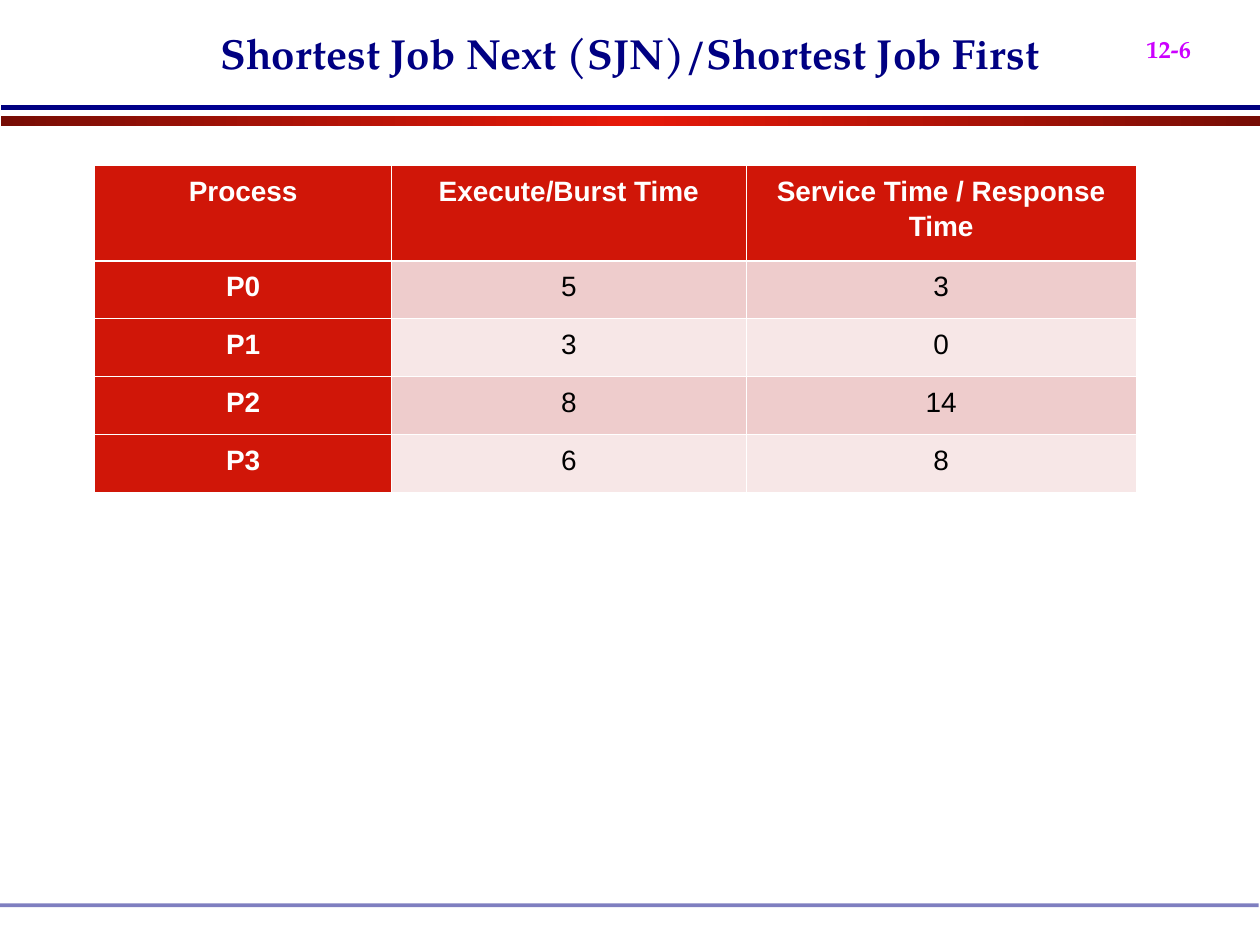
import copy
from dataclasses import dataclass

import pptx
import pptx.dml.color
import pptx.enum.shapes
import pptx.enum.text
import pptx.oxml
import pptx.oxml.ns
import pptx.util

Inches = pptx.util.Inches
Pt = pptx.util.Pt
qn = pptx.oxml.ns.qn
ALIGN = pptx.enum.text.PP_ALIGN
ANCHOR = pptx.enum.text.MSO_ANCHOR

HUES = {
    "navy": "000082",
    "dusk": "00007F",
    "blue": "0000B6",
    "rust": "770D05",
    "flame": "E71909",
    "pink": "CC00FF",
    "red": "D01608",
    "rose": "EECCCC",
    "blush": "F7E7E7",
    "white": "FFFFFF",
    "black": "000000",
}
SERIF = "TeX Gyre Pagella"
WIDTHS = (2.36, 2.81, 3.1)
HEIGHTS = (0.76, 0.46, 0.46, 0.46, 0.46)
ROWS = (
    ("Process", "Execute/Burst Time", "Service Time / Response Time"),
    ("P0", "5", "3"),
    ("P1", "3", "0"),
    ("P2", "8", "14"),
    ("P3", "6", "8"),
)
PAD = {
    "margin_left": Inches(0.08),
    "margin_right": Inches(0.08),
    "margin_top": Inches(0.05),
    "margin_bottom": Inches(0.05),
}
LINES = {"alignment": ALIGN.CENTER, "line_spacing": 1.15, "space_after": Pt(13.6)}


@dataclass
class Bar:
    left: float
    top: float
    high: float
    hues: tuple


@dataclass
class Label:
    text: str
    box: tuple
    hue: str
    frame: dict
    para: dict
    drop: int = 0


BARS = (
    Bar(0.01, 0.92, 0.08, ("rust", "flame", "rust")),
    Bar(0.01, 0.83, 0.04, ("dusk", "blue", "dusk")),
    Bar(0, 7.17, 0.03, ("navy",)),
)
LABELS = (
    Label("12-6", (9, 0, 1.08, 0.56), "pink", {}, {"space_before": Pt(15)}, -25000),
    Label(
        "Shortest Job Next (SJN)/Shortest Job First",
        (0.75, 0.28, 8.5, 0.75),
        "navy",
        {"vertical_anchor": ANCHOR.BOTTOM, "margin_bottom": Inches(0.41)},
        {"alignment": ALIGN.CENTER},
    ),
)


def tint(name: str) -> pptx.dml.color.RGBColor:
    return pptx.dml.color.RGBColor.from_string(HUES[name])


def apply(item, form: dict) -> None:
    for key, value in form.items():
        setattr(item, key, value)


def write(para, text: str, hue: str, form: dict):
    run = para.add_run()
    run.text = text
    apply(run.font, form)
    run.font.color.rgb = tint(hue)
    return run


def draw_bar(slide, bar: Bar) -> None:
    kind = pptx.enum.shapes.MSO_SHAPE.RECTANGLE
    box = (bar.left, bar.top, 9.99, bar.high)
    shape = slide.shapes.add_shape(kind, *map(Inches, box))
    shape.shadow.inherit = False
    shape.line.fill.background()
    if len(bar.hues) == 1:
        shape.fill.solid()
        shape.fill.fore_color.rgb = tint(bar.hues[0])
        mark = next(shape._element.spPr.iter(qn("a:srgbClr")))
        pptx.oxml.ns.nsdecls
        mark.append(pptx.oxml.parse_xml(f'<a:alpha {pptx.oxml.ns.nsdecls("a")} val="50000"/>'))
        return
    shape.fill.gradient()
    shape.fill.gradient_angle = 0
    first = next(shape._element.spPr.iter(qn("a:gs")))
    first.addnext(copy.deepcopy(first))
    for rank, (stop, hue) in enumerate(zip(shape.fill.gradient_stops, bar.hues)):
        stop.position = rank / 2
        stop.color.rgb = tint(hue)


def draw_label(slide, label: Label) -> None:
    frame = slide.shapes.add_textbox(*map(Inches, label.box)).text_frame
    apply(frame, {"word_wrap": True} | label.frame)
    para = frame.paragraphs[0]
    apply(para, label.para)
    form = {"name": SERIF, "size": Pt(24), "bold": True}
    run = write(para, label.text, label.hue, form)
    if label.drop:
        run._r.get_or_add_rPr().set("baseline", str(label.drop))


def edge(cell, side: str, width: float) -> None:
    cell._tc.get_or_add_tcPr().append(pptx.oxml.parse_xml(
        f'<a:ln{side} {pptx.oxml.ns.nsdecls("a")} w="{int(Pt(width))}">'
        f'<a:solidFill><a:srgbClr val="{HUES["white"]}"/></a:solidFill></a:ln{side}>'
    ))


def draw_cell(cell, row: int, col: int) -> None:
    head = row == 0 or col == 0
    apply(cell, PAD)
    thick = {"T": row == 1, "B": row == 0}
    for side in "LRTB":
        edge(cell, side, 1.47 if thick.get(side) else 0.45)
    cell.fill.solid()
    cell.fill.fore_color.rgb = tint("red" if head else "rose" if row % 2 else "blush")
    para = cell.text_frame.paragraphs[0]
    apply(para, LINES)
    form = {"name": "Arial", "size": Pt(16), "bold": head}
    write(para, ROWS[row][col], "white" if head else "black", form)


def draw_table(slide) -> None:
    box = (0.75, 1.31, sum(WIDTHS), sum(HEIGHTS))
    table = slide.shapes.add_table(len(ROWS), len(WIDTHS), *map(Inches, box)).table
    for col, width in zip(table.columns, WIDTHS):
        col.width = Inches(width)
    for row, height in zip(table.rows, HEIGHTS):
        row.height = Inches(height)
    for row in range(len(ROWS)):
        for col in range(len(WIDTHS)):
            draw_cell(table.cell(row, col), row, col)


def main() -> None:
    deck = pptx.Presentation()
    apply(deck, {"slide_width": Inches(10), "slide_height": Inches(7.5)})
    slide = deck.slides.add_slide(deck.slide_layouts[6])
    for bar in BARS:
        draw_bar(slide, bar)
    for label in LABELS:
        draw_label(slide, label)
    draw_table(slide)
    deck.save("out.pptx")


if __name__ == "__main__":
    main()
